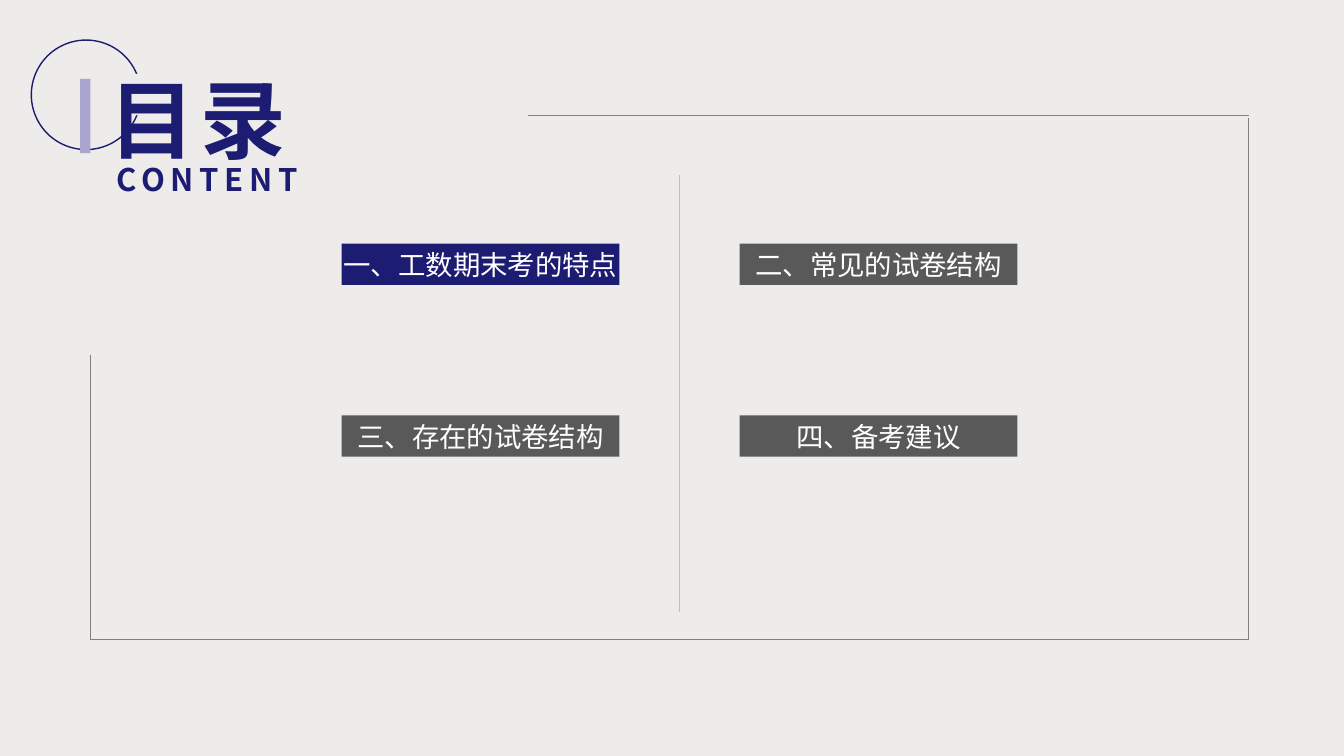
from pptx import Presentation
from pptx import util as u
from pptx.dml.color import RGBColor
from pptx.enum import shapes, text
from pptx.oxml.ns import qn
from lxml import etree

NAVY, LILAC, PAPER, GREY = "1C1C73", "AAA4D1", "EEEBEB", "595959"


def rgb(value):
    return RGBColor.from_string(value)


def write(sp, words, size, color, bold, align, anchor, spacing=0, wrap=False):
    tf = sp.text_frame
    tf.word_wrap = wrap
    tf.vertical_anchor = anchor
    p = tf.paragraphs[0]
    p.alignment = align
    r = p.add_run()
    r.text = words
    for name, value in {"size": u.Pt(size), "bold": bold, "name": "Noto Sans CJK SC"}.items():
        setattr(r.font, name, value)
    r.font.color.rgb = rgb(color)
    rPr = r._r.get_or_add_rPr()
    if spacing:
        rPr.set("spc", str(spacing * 100))
    etree.SubElement(rPr, qn("a:ea")).set("typeface", "Noto Sans CJK SC")


prs = Presentation()
prs.slide_width, prs.slide_height = u.Cm(33.87), u.Cm(19.05)
s = prs.slides.add_slide(prs.slide_layouts[6])
s.background.fill.solid()
s.background.fill.fore_color.rgb = rgb(PAPER)

for kind, x, y, w, h, fill, line in [
    (shapes.MSO_SHAPE.OVAL, 0.79, 1.01, 2.76, 2.76, None, NAVY),
    (shapes.MSO_SHAPE.RECTANGLE, 1.14, 1.86, 4.36, 1.04, PAPER, None),
    (shapes.MSO_SHAPE.RECTANGLE, 2.02, 1.99, 0.26, 1.87, LILAC, None),
]:
    sp = s.shapes.add_shape(kind, u.Cm(x), u.Cm(y), u.Cm(w), u.Cm(h))
    sp.shadow.inherit = False
    if fill:
        sp.fill.solid()
        sp.fill.fore_color.rgb = rgb(fill)
    else:
        sp.fill.background()
    if line:
        sp.line.color.rgb = rgb(line)
        sp.line.width = u.Pt(1)
    else:
        sp.line.fill.background()

title = s.shapes.add_textbox(u.Cm(2.51), u.Cm(1.86), u.Cm(10.2), u.Cm(2.56))
write(title, "目录", 61.2, NAVY, True, text.PP_ALIGN.LEFT, text.MSO_ANCHOR.TOP, 4, True)
title.text_frame.paragraphs[0].line_spacing = 0.9

topics = ["一、工数期末考的特点", "二、常见的试卷结构", "三、存在的试卷结构", "四、备考建议"]
for i, topic in enumerate(topics):
    row, col = divmod(i, 2)
    sp = s.shapes.add_shape(shapes.MSO_SHAPE.RECTANGLE, u.Cm(8.61 + col * 10.03),
                            u.Cm(6.14 + row * 4.33), u.Cm(7), u.Cm(1.04))
    sp.shadow.inherit = False
    sp.fill.solid()
    sp.fill.fore_color.rgb = rgb(GREY if i else NAVY)
    sp.line.fill.background()
    for side, margin in {"left": 0.33, "right": 0.33, "top": 0.18, "bottom": 0.18}.items():
        setattr(sp.text_frame, "margin_" + side, u.Cm(margin))
    write(sp, topic, 19.6, "FFFFFF", False, text.PP_ALIGN.CENTER, text.MSO_ANCHOR.MIDDLE)

subtitle = s.shapes.add_textbox(u.Cm(2.69), u.Cm(3.91), u.Cm(5.5), u.Cm(1.02))
write(subtitle, "CONTENT", 22.2, NAVY, True, text.PP_ALIGN.LEFT, text.MSO_ANCHOR.TOP, 4, True)

left, right, top, bottom = 2.29, 31.47, 2.92, 16.12
for x1, y1, x2, y2, color in [
    (17.12, 4.42, 17.12, 15.42, "BFBFBF"),
    (13.31, top, right, top, "808080"),
    (right, 2.97, right, bottom, "808080"),
    (right, bottom, left, bottom, "808080"),
    (left, bottom, left, 8.94, "808080"),
]:
    ln = s.shapes.add_connector(shapes.MSO_CONNECTOR.STRAIGHT, u.Cm(x1), u.Cm(y1), u.Cm(x2), u.Cm(y2))
    ln.line.color.rgb = rgb(color)
    ln.line.width = u.Pt(0.75)
    etree.SubElement(ln._element.spPr, qn("a:effectLst"))

prs.save("out.pptx")
